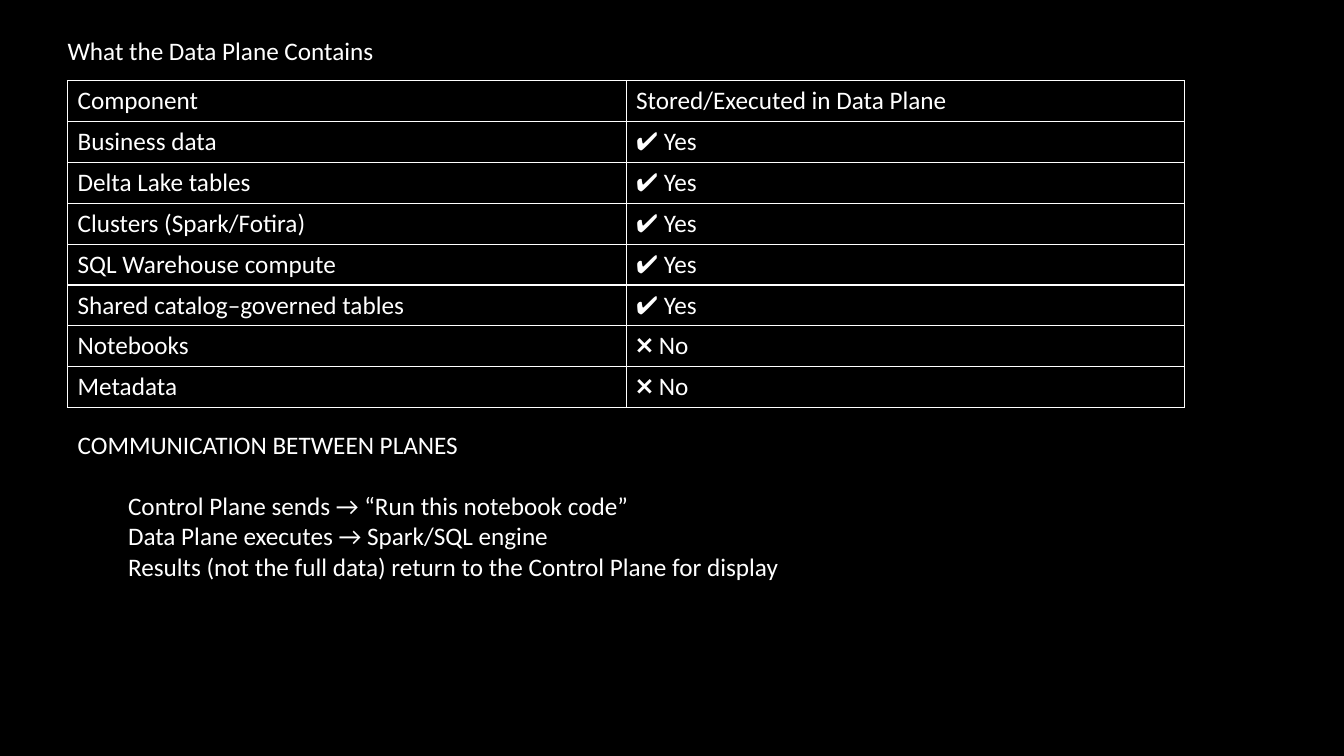
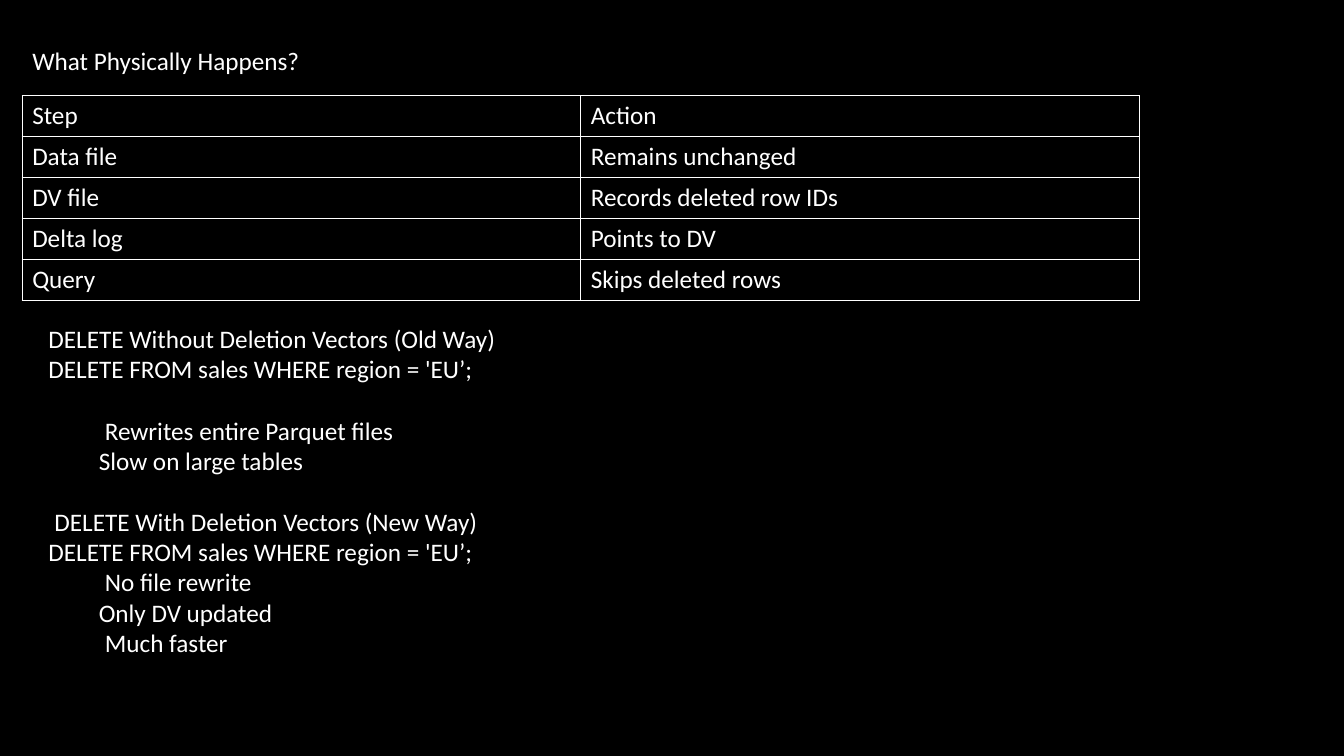
from lxml import etree
from pptx import Presentation
from pptx.dml.color import RGBColor
from pptx.enum.text import MSO_ANCHOR, MSO_AUTO_SIZE, PP_ALIGN
from pptx.oxml.ns import qn
from pptx.util import Inches, Pt

TOP, MIDDLE = MSO_ANCHOR.TOP, MSO_ANCHOR.MIDDLE
LEFT = PP_ALIGN.LEFT
FIXED = MSO_AUTO_SIZE.NONE

BLACK, WHITE = "000000", "FFFFFF"
FACE, SIZE = "Calibri", 18
LINE = 22   # height of one text line, in points
ROW, COL = 0.4, 5.54
STEP, NUDGE = 0.5, 0.56   # indents of list items

YES, NO = "✔️ Yes", "❌ No"
QUERY = "DELETE FROM sales WHERE region = 'EU’;"

PLANE = [
    ("Component", "Stored/Executed in Data Plane"),
    ("Business data", YES),
    ("Delta Lake tables", YES),
    ("Clusters (Spark/Fotira)", YES),
    ("SQL Warehouse compute", YES),
    ("Shared catalog–governed tables", YES),
    ("Notebooks", NO),
    ("Metadata", NO),
]
# Each line: text, indent in inches, blank space before in lines
TALK = [
    ("COMMUNICATION BETWEEN PLANES", 0, 0),
    ("Control Plane sends → “Run this notebook code”", STEP, 1),
    ("Data Plane executes → Spark/SQL engine", STEP, 0),
    ("Results (not the full data) return to the Control Plane for display", STEP, 0),
]
STEPS = [
    ("Step", "Action"),
    ("Data file", "Remains unchanged"),
    ("DV file", "Records deleted row IDs"),
    ("Delta log", "Points to DV"),
    ("Query", "Skips deleted rows"),
]
WAYS = [
    ("DELETE Without Deletion Vectors (Old Way)", 0, 0),
    (QUERY, 0, 0),
    ("Rewrites entire Parquet files", NUDGE, 1),
    ("Slow on large tables", STEP, 0),
    ("DELETE With Deletion Vectors (New Way)", NUDGE - STEP, 1),
    (QUERY, 0, 0),
    ("No file rewrite", NUDGE, 0),
    ("Only DV updated", STEP, 0),
    ("Much faster", NUDGE, 0),
]


def color(text):
    return RGBColor.from_string(text)


def style(para):
    para.alignment = LEFT
    font = para.font
    font.name, font.size = FACE, Pt(SIZE)
    font.color.rgb = color(WHITE)


def place(shape, box):
    """Move a placeholder into box and return its text frame."""
    shape.left, shape.top, shape.width, shape.height = map(Inches, box)
    frame = shape.text_frame
    frame.word_wrap = True
    frame.auto_size = FIXED
    frame.vertical_anchor = TOP
    return frame


def add_title(slide, box, text):
    frame = place(slide.shapes.title, box)
    frame.text = text
    style(frame.paragraphs[0])


def add_list(slide, box, lines):
    frame = place(slide.placeholders[1], box)
    frame.text = "\n".join(text for text, _, _ in lines)
    for para, (_, indent, gap) in zip(frame.paragraphs, lines):
        props = para._p.get_or_add_pPr()
        props.set("marL", str(Inches(indent)))
        props.set("indent", "0")
        para.space_before = Pt(gap * LINE)
        etree.SubElement(props, qn("a:buNone"))
        style(para)


def add_border(cell):
    props = cell._tc.get_or_add_tcPr()
    for side in ("lnL", "lnR", "lnT", "lnB"):
        line = etree.SubElement(props, qn(f"a:{side}"), w=str(Pt(1)))
        fill = etree.SubElement(line, qn("a:solidFill"))
        etree.SubElement(fill, qn("a:srgbClr"), val=WHITE)


def add_grid(slide, left, top, rows):
    count, width = len(rows), len(rows[0])
    table = slide.shapes.add_table(
        count, width, Inches(left), Inches(top),
        Inches(width * COL), Inches(count * ROW)).table
    table.first_row = table.horz_banding = False
    for r, row in enumerate(rows):
        for c, text in enumerate(row):
            cell = table.cell(r, c)
            cell.text = text
            cell.vertical_anchor = MIDDLE
            add_border(cell)
            cell.fill.background()
            style(cell.text_frame.paragraphs[0])


def add_page(deck, title, grid, notes):
    slide = deck.slides.add_slide(deck.slide_layouts[1])
    add_title(slide, *title)
    add_grid(slide, *grid)
    add_list(slide, *notes)


def main():
    deck = Presentation()
    deck.slide_width, deck.slide_height = Inches(13.33), Inches(7.5)
    back = deck.slide_master.background.fill
    back.solid()
    back.fore_color.rgb = color(BLACK)

    add_page(deck,
             ((0.57, 0.3, 11.68, 0.4), "What the Data Plane Contains"),
             (0.67, 0.8, PLANE),
             ((0.67, 4.21, 8.73, 1.62), TALK))
    add_page(deck,
             ((0.22, 0.4, 11.78, 0.4), "What Physically Happens?"),
             (0.22, 0.95, STEPS),
             ((0.38, 3.16, 6.67, 3.43), WAYS))
    deck.save("out.pptx")


if __name__ == "__main__":
    main()
